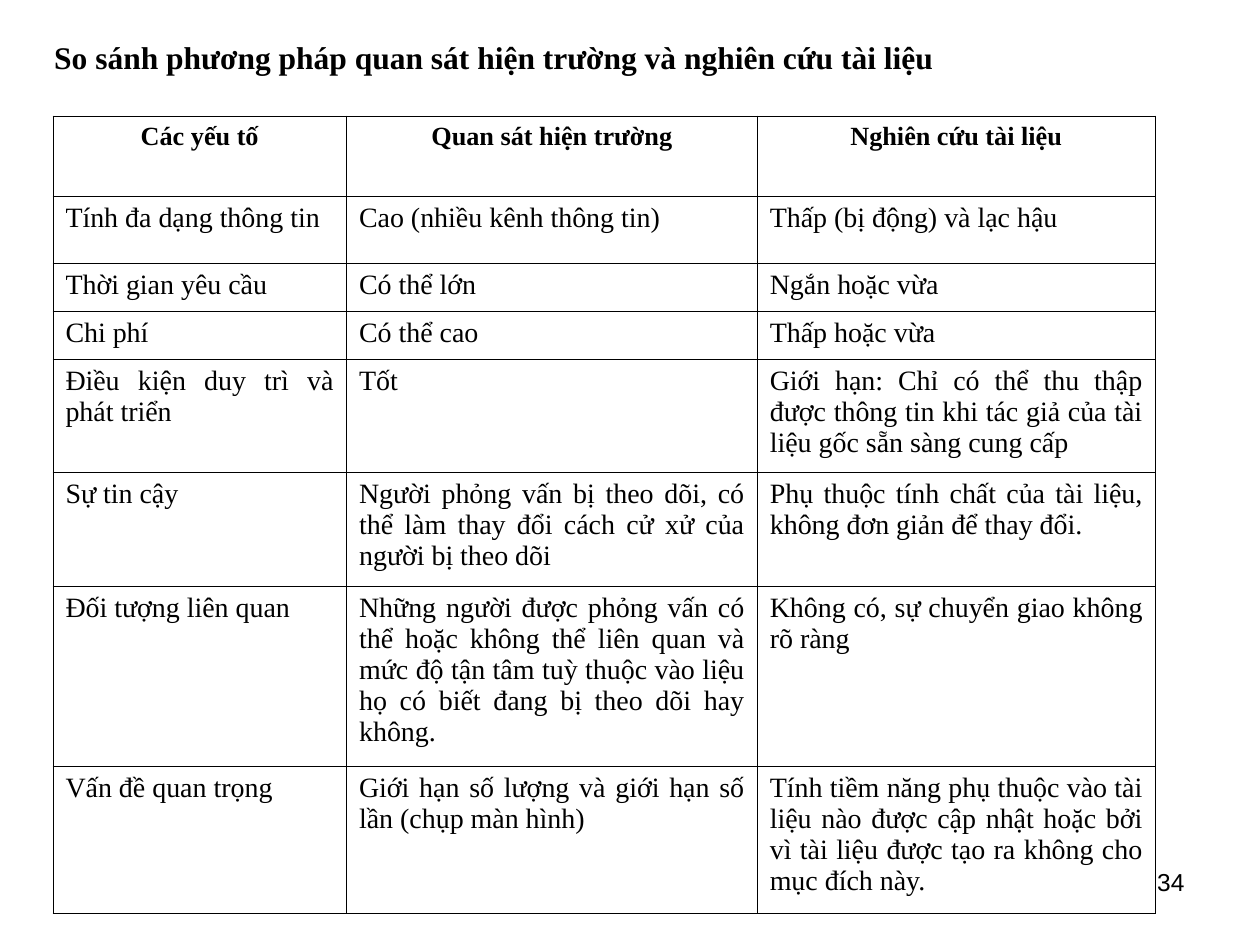
from lxml import etree
from pptx import Presentation
from pptx.dml.color import RGBColor
from pptx.enum.text import MSO_ANCHOR, MSO_AUTO_SIZE, PP_ALIGN
from pptx.oxml.ns import qn
from pptx.util import Inches, Pt

LEFT, CENTER, RIGHT, JUSTIFY = PP_ALIGN.LEFT, PP_ALIGN.CENTER, PP_ALIGN.RIGHT, PP_ALIGN.JUSTIFY
TOP = MSO_ANCHOR.TOP
NO_AUTOFIT = MSO_AUTO_SIZE.NONE
TITLE_ONLY = 5
COLORS = {"text": "000000", "border": "000000", "cell": "FFFFFF"}
BORDER_WIDTH = Pt(0.45)

TITLE_FORMAT = {"name": "Times New Roman", "size": Pt(18), "bold": True}
HEADER_FORMAT = {"name": "Times New Roman", "size": Pt(15), "bold": True}
BODY_FORMAT = {"name": "Times New Roman", "size": Pt(16), "bold": False}
NUMBER_FORMAT = {"name": "Arial", "size": Pt(14), "bold": False}
FRAME_FORMAT = {
    "margin_left": Inches(0.1), "margin_right": Inches(0.1),
    "margin_top": Inches(0.05), "margin_bottom": Inches(0.05),
    "vertical_anchor": TOP, "word_wrap": True, "auto_size": NO_AUTOFIT,
}

TITLE = "So sánh phương pháp quan sát hiện trường và nghiên cứu tài liệu"
COLUMN_WIDTHS = [2.33, 3.26, 3.16]
ROW_HEIGHTS = [0.64, 0.53, 0.38, 0.38, 0.9, 0.9, 1.43, 1.17]
COMPARISON = [
    ("Các yếu tố", "Quan sát hiện trường", "Nghiên cứu tài liệu"),
    ("Tính đa dạng thông tin", "Cao (nhiều kênh thông tin)", "Thấp (bị động) và lạc hậu"),
    ("Thời gian yêu cầu", "Có thể lớn", "Ngắn hoặc vừa"),
    ("Chi phí", "Có thể cao", "Thấp hoặc vừa"),
    ("Điều kiện duy trì và phát triển", "Tốt",
     "Giới hạn: Chỉ có thể thu thập được thông tin khi tác giả của tài liệu gốc "
     "sẵn sàng cung cấp"),
    ("Sự tin cậy",
     "Người phỏng vấn bị theo dõi, có thể làm thay đổi cách cử xử của người bị theo dõi",
     "Phụ thuộc tính chất của tài liệu, không đơn giản để thay đổi."),
    ("Đối tượng liên quan",
     "Những người được phỏng vấn có thể hoặc không thể liên quan và mức độ tận tâm "
     "tuỳ thuộc vào liệu họ có biết đang bị theo dõi hay không.",
     "Không có, sự chuyển giao không rõ ràng"),
    ("Vấn đề quan trọng",
     "Giới hạn số lượng và giới hạn số lần (chụp màn hình)",
     "Tính tiềm năng phụ thuộc vào tài liệu nào được cập nhật hoặc bởi vì tài liệu "
     "được tạo ra không cho mục đích này."),
]


def apply_format(target, values):
    """Set each named attribute on the target."""
    for name, value in values.items():
        setattr(target, name, value)


def write_text(frame, text, alignment, font_format):
    """Fill a text frame with one formatted paragraph."""
    frame.text = text
    paragraph = frame.paragraphs[0]
    paragraph.alignment = alignment
    run_font = paragraph.runs[0].font
    apply_format(run_font, font_format)
    run_font.color.rgb = RGBColor.from_string(COLORS["text"])


def outline_cell(cell):
    """Draw a thin line on all four sides of a cell."""
    properties = cell._tc.get_or_add_tcPr()
    for position, side in enumerate(("a:lnL", "a:lnR", "a:lnT", "a:lnB")):
        line = etree.Element(qn(side), w=str(BORDER_WIDTH))
        fill = etree.SubElement(line, qn("a:solidFill"))
        etree.SubElement(fill, qn("a:srgbClr"), val=COLORS["border"])
        properties.insert(position, line)


def add_title(slide, box):
    """Place the slide heading in the title placeholder."""
    heading = slide.shapes.title
    apply_format(heading, dict(zip(("left", "top", "width", "height"), box)))
    apply_format(heading.text_frame, FRAME_FORMAT)
    write_text(heading.text_frame, TITLE, LEFT, TITLE_FORMAT)


def add_comparison(slide, box):
    """Place the comparison table, sharing the box among columns and rows."""
    left, top, width, height = box
    table = slide.shapes.add_table(
        len(ROW_HEIGHTS), len(COLUMN_WIDTHS), left, top, width, height).table
    apply_format(table, {"first_row": False, "horz_banding": False})
    for column, share in zip(table.columns, COLUMN_WIDTHS):
        column.width = int(width * share / sum(COLUMN_WIDTHS))
    for row, share in zip(table.rows, ROW_HEIGHTS):
        row.height = int(height * share / sum(ROW_HEIGHTS))
    for row_index, entries in enumerate(COMPARISON):
        style = (JUSTIFY, BODY_FORMAT) if row_index else (CENTER, HEADER_FORMAT)
        for column_index, entry in enumerate(entries):
            cell = table.cell(row_index, column_index)
            cell.fill.solid()
            cell.fill.fore_color.rgb = RGBColor.from_string(COLORS["cell"])
            outline_cell(cell)
            write_text(cell.text_frame, entry, *style)


def add_page_number(slide, box):
    """Place the page number at the right of its box."""
    frame = slide.shapes.add_textbox(*box).text_frame
    apply_format(frame, FRAME_FORMAT)
    write_text(frame, "34", RIGHT, NUMBER_FORMAT)


def main():
    """Build the comparison slide and save it."""
    deck = Presentation()
    deck.slide_width, deck.slide_height = Inches(10), Inches(7.5)
    slide = deck.slides.add_slide(deck.slide_layouts[TITLE_ONLY])
    add_page_number(slide, [Inches(n) for n in (7.17, 6.83, 2.33, 0.52)])
    add_comparison(slide, [Inches(n) for n in (0.42, 0.92, 8.75, 6.33)])
    add_title(slide, [Inches(n) for n in (0.33, 0.25, 9.42, 0.4)])
    deck.save("out.pptx")


if __name__ == "__main__":
    main()
